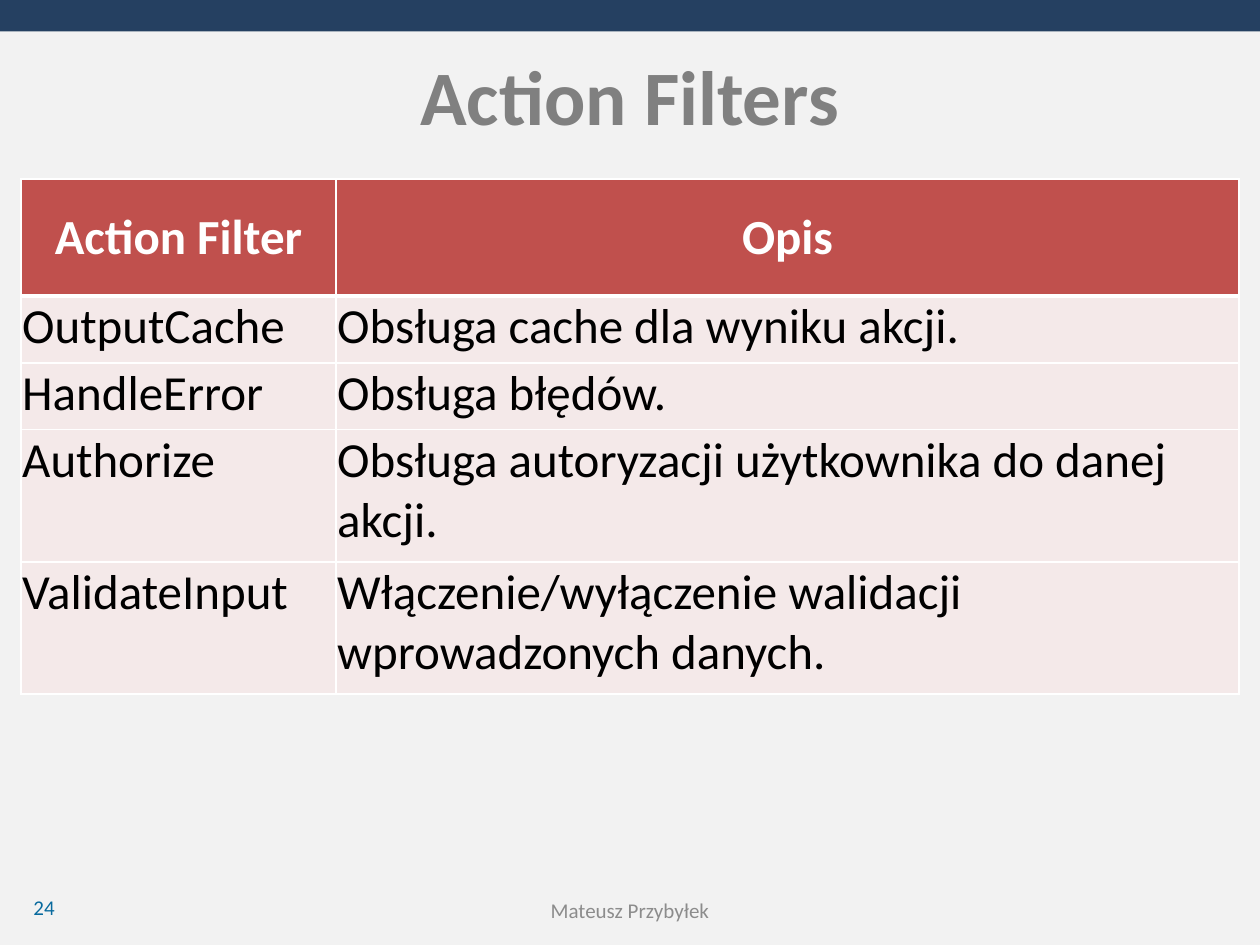
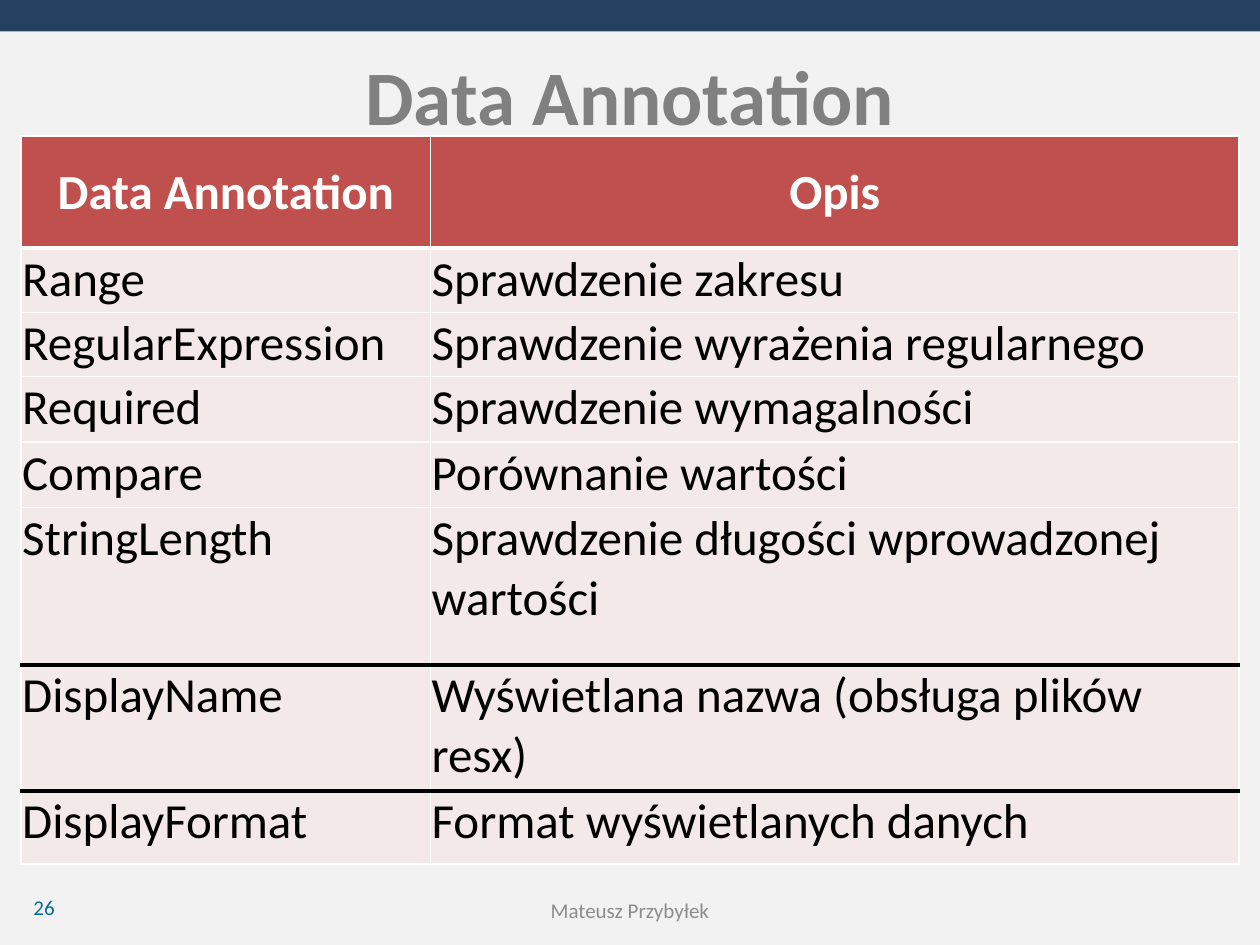
from lxml.etree import SubElement
from pptx import Presentation
from pptx.dml.color import RGBColor
from pptx.enum.shapes import MSO_SHAPE as Shape
from pptx.enum.text import MSO_ANCHOR as Anchor, PP_ALIGN as Align
from pptx.oxml.ns import qn
from pptx.util import Inches, Pt

WIDTH, HEIGHT = Inches(10), Inches(7.5)
MARGIN = WIDTH / 60
CONTENT_WIDTH = WIDTH - 2 * MARGIN
BAND_HEIGHT = HEIGHT / 30
FOOTER_HEIGHT = Inches(0.4)

FONT = "Calibri"
BACKGROUND = RGBColor(0xF2, 0xF2, 0xF2)
NAVY = RGBColor(0x25, 0x40, 0x61)
TITLE_GREY = RGBColor(0x80, 0x80, 0x80)
FOOTER_GREY = RGBColor(0x8C, 0x8C, 0x8C)
NUMBER_BLUE = RGBColor(0x08, 0x6A, 0x9E)
HEADER_RED = RGBColor(0xC0, 0x50, 0x4D)
ROW_PINK = RGBColor(0xF4, 0xE9, 0xE9)
WHITE = RGBColor(0xFF, 0xFF, 0xFF)
BLACK = RGBColor(0x00, 0x00, 0x00)

THIN_RULE = (WHITE, 1)
HEADER_RULE = (WHITE, 3)
DARK_RULE = (BLACK, 2.25)

ACTION_FILTERS = [
    ("Action Filter", "Opis"),
    ("OutputCache", "Obsługa cache dla wyniku akcji."),
    ("HandleError", "Obsługa błędów."),
    ("Authorize", "Obsługa autoryzacji użytkownika do danej akcji."),
    ("ValidateInput", "Włączenie/wyłączenie walidacji wprowadzonych danych."),
]
DATA_ANNOTATIONS = [
    ("Data Annotation", "Opis"),
    ("Range", "Sprawdzenie zakresu"),
    ("RegularExpression", "Sprawdzenie wyrażenia regularnego"),
    ("Required", "Sprawdzenie wymagalności"),
    ("Compare", "Porównanie wartości"),
    ("StringLength", "Sprawdzenie długości wprowadzonej wartości"),
    ("DisplayName", "Wyświetlana nazwa (obsługa plików resx)"),
    ("DisplayFormat", "Format wyświetlanych danych"),
]


def write(frame, text, size, color, bold=False, align=Align.LEFT):
    paragraph = frame.paragraphs[0]
    paragraph.alignment = align
    run = paragraph.add_run()
    run.text = text
    font = run.font
    font.name, font.size, font.bold = FONT, Pt(size), bold
    font.color.rgb = color


def add_text(slide, box, text, size, color, **style):
    frame = slide.shapes.add_textbox(*map(int, box)).text_frame
    frame.word_wrap = True
    frame.vertical_anchor = Anchor.MIDDLE
    write(frame, text, size, color, **style)


def add_base_slide(prs, title, number):
    """Add a slide with the band, title, page number and author."""
    slide = prs.slides.add_slide(prs.slide_layouts[6])
    fill = slide.background.fill
    fill.solid()
    fill.fore_color.rgb = BACKGROUND

    band = slide.shapes.add_shape(Shape.RECTANGLE, 0, 0, WIDTH, int(BAND_HEIGHT))
    band.shadow.inherit = False
    band.fill.solid()
    band.fill.fore_color.rgb = NAVY
    band.line.fill.background()

    add_text(slide, (MARGIN, BAND_HEIGHT, CONTENT_WIDTH, Inches(1)),
             title, 44, TITLE_GREY, bold=True, align=Align.CENTER)
    add_text(slide, (MARGIN, Inches(7), WIDTH / 12, FOOTER_HEIGHT),
             number, 12, NUMBER_BLUE)
    author_width = WIDTH * 0.317
    add_text(slide, ((WIDTH - author_width) / 2, Inches(7.02), author_width, FOOTER_HEIGHT),
             "Mateusz Przybyłek", 12, FOOTER_GREY, align=Align.CENTER)
    return slide


def set_border(cell, side, rule):
    color, width = rule
    line = SubElement(cell._tc.get_or_add_tcPr(), qn(f"a:ln{side}"), w=str(Pt(width)))
    SubElement(SubElement(line, qn("a:solidFill")), qn("a:srgbClr"), val=str(color))


def format_cell(cell, text, is_header, top, bottom):
    cell.margin_left = cell.margin_top = cell.margin_right = Inches(0.01)
    cell.margin_bottom = 0
    # The schema wants the borders in this order, ahead of the fill.
    for side, rule in zip("LRTB", (THIN_RULE, THIN_RULE, top, bottom)):
        set_border(cell, side, rule)
    cell.fill.solid()
    cell.fill.fore_color.rgb = HEADER_RED if is_header else ROW_PINK
    cell.vertical_anchor = Anchor.MIDDLE if is_header else Anchor.TOP
    write(cell.text_frame, text, 28, WHITE if is_header else BLACK, bold=is_header,
          align=Align.CENTER if is_header else Align.LEFT)


def add_description_table(slide, top, name_width, row_heights, rows, dark_rules=()):
    """Add a two-column table; dark_rules lists the rows with a dark line above."""
    frame = slide.shapes.add_table(len(rows), 2, int(MARGIN), Inches(top),
                                   int(CONTENT_WIDTH), Inches(sum(row_heights)))
    table = frame.table
    table.horz_banding = False
    table.columns[0].width = Inches(name_width)
    table.columns[1].width = int(CONTENT_WIDTH) - Inches(name_width)

    rules = {1: HEADER_RULE, **dict.fromkeys(dark_rules, DARK_RULE)}
    for r, (height, texts) in enumerate(zip(row_heights, rows)):
        table.rows[r].height = Inches(height)
        for c, text in enumerate(texts):
            format_cell(table.cell(r, c), text, r == 0,
                        rules.get(r, THIN_RULE), rules.get(r + 1, THIN_RULE))


def main():
    prs = Presentation()
    prs.slide_width, prs.slide_height = WIDTH, HEIGHT

    filters = add_base_slide(prs, "Action Filters", "24")
    add_description_table(filters, 1.42, 2.5, [0.93, 0.53, 0.53, 1.05, 1.05],
                          ACTION_FILTERS)

    annotations = add_base_slide(prs, "Data Annotation", "26")
    add_description_table(annotations, 1.08, 3.25,
                          [0.89, 0.51, 0.51, 0.52, 0.52, 1.25, 1, 0.58],
                          DATA_ANNOTATIONS, dark_rules=(6, 7))

    prs.save("out.pptx")


if __name__ == "__main__":
    main()
